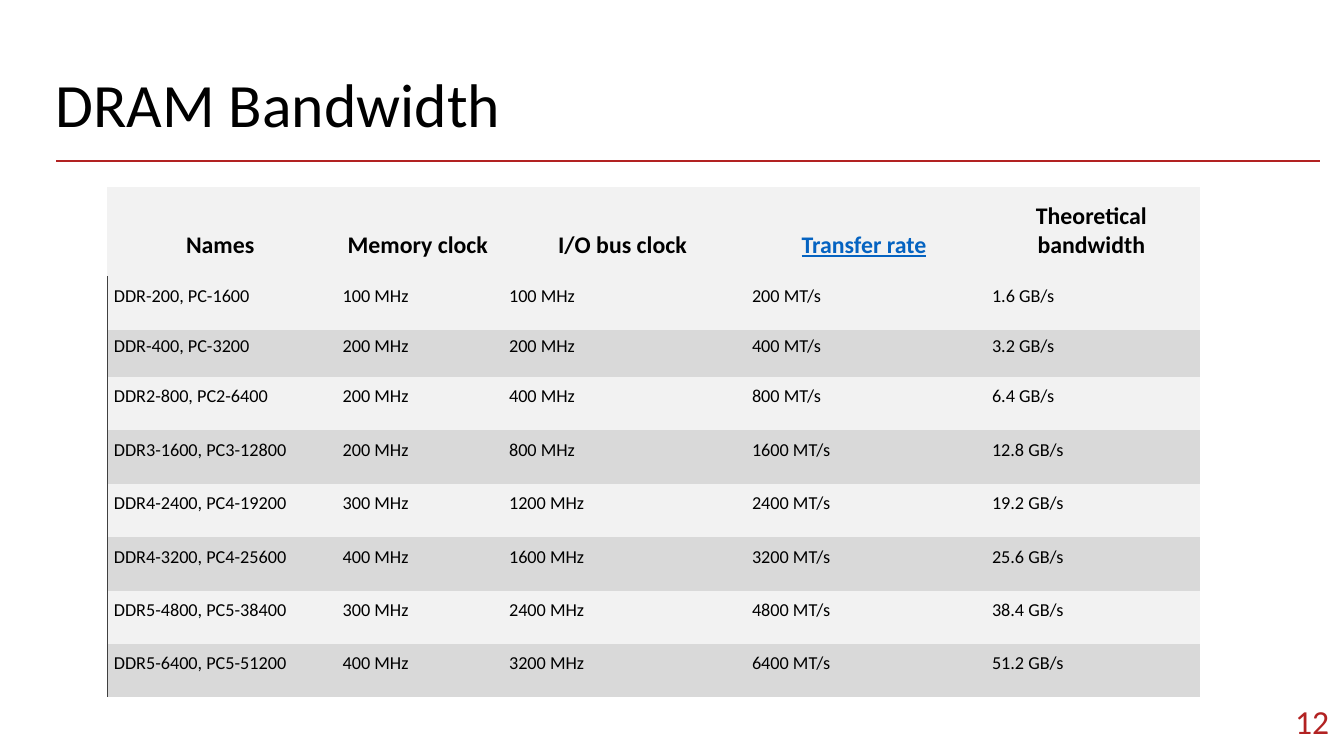
from lxml import etree
from pptx import Presentation
from pptx.dml.color import RGBColor
from pptx.enum.shapes import MSO_CONNECTOR
from pptx.enum.text import MSO_ANCHOR, PP_ALIGN
from pptx.oxml.ns import qn
from pptx.util import Inches, Pt

STRAIGHT = MSO_CONNECTOR.STRAIGHT
TOP, MIDDLE, BOTTOM = MSO_ANCHOR.TOP, MSO_ANCHOR.MIDDLE, MSO_ANCHOR.BOTTOM
LEFT, CENTER, RIGHT = PP_ALIGN.LEFT, PP_ALIGN.CENTER, PP_ALIGN.RIGHT

TITLE = "DRAM Bandwidth"
PAGE_NUMBER = "12"
HEADERS = ("Names", "Memory clock", "I/O bus clock", "Transfer rate", "Theoretical bandwidth")
LINKED_HEADER = "Transfer rate"
MEMORY_TYPES = [
    ("DDR-200, PC-1600", "100 MHz", "100 MHz", "200 MT/s", "1.6 GB/s"),
    ("DDR-400, PC-3200", "200 MHz", "200 MHz", "400 MT/s", "3.2 GB/s"),
    ("DDR2-800, PC2-6400", "200 MHz", "400 MHz", "800 MT/s", "6.4 GB/s"),
    ("DDR3-1600, PC3-12800", "200 MHz", "800 MHz", "1600 MT/s", "12.8 GB/s"),
    ("DDR4-2400, PC4-19200", "300 MHz", "1200 MHz", "2400 MT/s", "19.2 GB/s"),
    ("DDR4-3200, PC4-25600", "400 MHz", "1600 MHz", "3200 MT/s", "25.6 GB/s"),
    ("DDR5-4800, PC5-38400", "300 MHz", "2400 MHz", "4800 MT/s", "38.4 GB/s"),
    ("DDR5-6400, PC5-51200", "400 MHz", "3200 MHz", "6400 MT/s", "51.2 GB/s"),
]
COLUMN_WIDTHS = (2.27, 1.65, 2.41, 2.38, 2.13)
ROW_HEIGHTS = (0.88, 0.53, 0.47) + (0.53,) * 6
CELL_MARGINS = (0.07, 0.02, 0.09, 0.16)
BOX_MARGINS = (0.1,) * 4
PLAIN_TABLE_STYLE = "{2D5ABB26-0587-4C30-8999-92F81FD0307C}"

THEME = {
    "font": "Calibri",
    "text": "000000",
    "accent": "B22222",
    "link": "0563C1",
    "border": "404040",
    "bands": ("D9D9D9", "F2F2F2"),
    "title_size": 44,
    "number_size": 24,
    "header_size": 17,
    "body_size": 13,
}


def write_text(frame, text, size, color=THEME["text"], align=LEFT, bold=False,
               underline=False, line_spacing=None):
    frame.word_wrap = True
    paragraph = frame.paragraphs[0]
    paragraph.alignment = align
    if line_spacing:
        paragraph.line_spacing = line_spacing
    run = paragraph.add_run()
    run.text = text
    font = run.font
    font.name, font.size = THEME["font"], Pt(size)
    font.bold, font.underline = bold, underline
    font.color.rgb = RGBColor.from_string(color)


def set_margins(target, margins):
    (target.margin_left, target.margin_top,
     target.margin_right, target.margin_bottom) = map(Inches, margins)


def add_text_box(slide, text, place, anchor=TOP, **text_format):
    frame = slide.shapes.add_textbox(*map(Inches, place)).text_frame
    set_margins(frame, BOX_MARGINS)
    frame.vertical_anchor = anchor
    write_text(frame, text, **text_format)


def add_title_rule(slide):
    rule = slide.shapes.add_connector(STRAIGHT, *map(Inches, (0.56, 1.6, 13.09, 1.6)))
    rule.line.color.rgb = RGBColor.from_string(THEME["accent"])
    rule.line.width = Pt(1.5)
    etree.SubElement(rule._element.spPr, qn("a:effectLst"))


def add_left_border(cell):
    border = etree.Element(qn("a:lnL"), w=str(Pt(0.5)))
    fill = etree.SubElement(border, qn("a:solidFill"))
    etree.SubElement(fill, qn("a:srgbClr"), val=THEME["border"])
    cell._tc.get_or_add_tcPr().insert(0, border)


def fill_cell(cell, text, row, column):
    set_margins(cell, CELL_MARGINS)
    is_header = row == 0
    cell.vertical_anchor = BOTTOM if is_header else MIDDLE
    cell.fill.solid()
    band = 1 if is_header else row % 2
    cell.fill.fore_color.rgb = RGBColor.from_string(THEME["bands"][band])
    if is_header:
        linked = text == LINKED_HEADER
        write_text(cell.text_frame, text, THEME["header_size"], align=CENTER, bold=True,
                   color=THEME["link" if linked else "text"], underline=linked)
    else:
        write_text(cell.text_frame, text, THEME["body_size"])
        if column == 0:
            add_left_border(cell)


def add_bandwidth_table(slide):
    rows = [HEADERS] + MEMORY_TYPES
    place = (1.06, 1.86, sum(COLUMN_WIDTHS), sum(ROW_HEIGHTS))
    table = slide.shapes.add_table(len(rows), len(HEADERS), *map(Inches, place)).table
    table.first_row = table.horz_banding = False
    table._tbl.tblPr.find(qn("a:tableStyleId")).text = PLAIN_TABLE_STYLE
    for column, width in zip(table.columns, COLUMN_WIDTHS):
        column.width = Inches(width)
    for row, height in zip(table.rows, ROW_HEIGHTS):
        row.height = Inches(height)
    for row, texts in enumerate(rows):
        for column, text in enumerate(texts):
            fill_cell(table.cell(row, column), text, row, column)


def main():
    presentation = Presentation()
    presentation.slide_width, presentation.slide_height = Inches(13.33), Inches(7.5)
    slide = presentation.slides.add_slide(presentation.slide_layouts[6])
    add_title_rule(slide)
    add_text_box(slide, TITLE, (0.45, 0.64, 12.42, 0.84),
                 size=THEME["title_size"], line_spacing=0.9)
    add_text_box(slide, PAGE_NUMBER, (12.27, 6.87, 1.01, 0.57), anchor=MIDDLE,
                 size=THEME["number_size"], color=THEME["accent"], align=RIGHT)
    add_bandwidth_table(slide)
    presentation.save("out.pptx")


if __name__ == "__main__":
    main()
